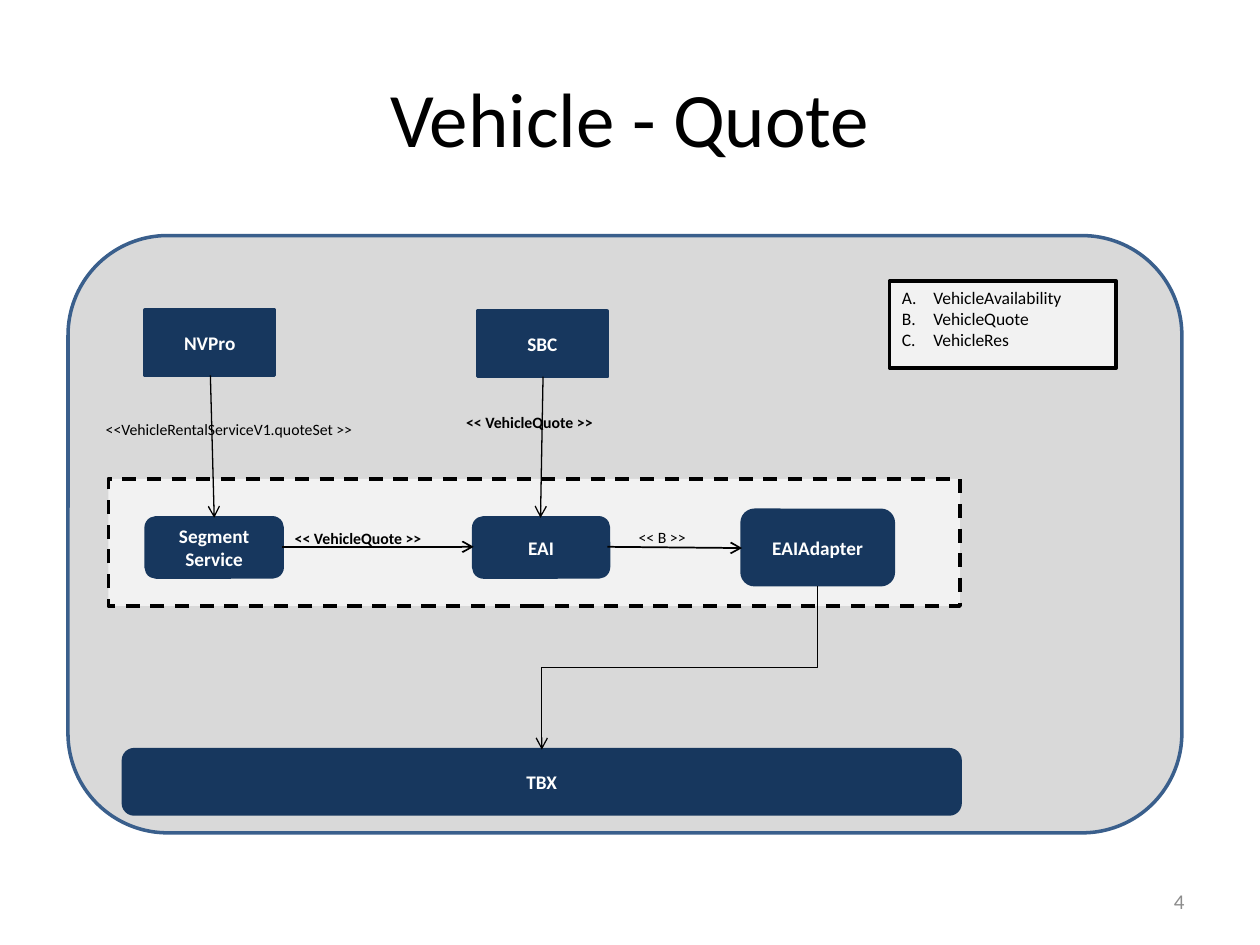
from lxml import etree
from pptx import Presentation
from pptx.dml.color import RGBColor
from pptx.enum.dml import MSO_LINE
from pptx.enum.shapes import MSO_CONNECTOR, MSO_SHAPE
from pptx.enum.text import MSO_ANCHOR, MSO_AUTO_SIZE, PP_ALIGN
from pptx.oxml.ns import qn
from pptx.util import Inches, Pt

NAVY = RGBColor(0x17, 0x37, 0x5E)
BLUE = RGBColor(0x3A, 0x5F, 0x8C)
GRAY = RGBColor(0xD9, 0xD9, 0xD9)
PALE = RGBColor(0xF2, 0xF2, 0xF2)
MUTED = RGBColor(0x8C, 0x8C, 0x8C)
BLACK = RGBColor(0, 0, 0)
WHITE = RGBColor(0xFF, 0xFF, 0xFF)
FONT = "Calibri"
RECT = MSO_SHAPE.RECTANGLE
ROUND = MSO_SHAPE.ROUNDED_RECTANGLE


def write(frame, lines, size, color, bold=False, align=PP_ALIGN.LEFT):
    frame.word_wrap = True
    frame.text = "\n".join(lines)
    for para in frame.paragraphs:
        para.alignment = align
        for span in para.runs:
            span.font.name = FONT
            span.font.size = Pt(size)
            span.font.bold = bold
            span.font.color.rgb = color


def add_panel(page, kind, place, fill, line):
    panel = page.shapes.add_shape(kind, *map(Inches, place))
    panel.shadow.inherit = False
    panel.fill.solid()
    panel.fill.fore_color.rgb = fill
    panel.line.color.rgb = line
    panel.line.width = Pt(2)
    return panel


def add_system(page, kind, name, place):
    box = add_panel(page, kind, place, NAVY, NAVY)
    write(box.text_frame, [name], 11, WHITE, True, PP_ALIGN.CENTER)
    box.text_frame.vertical_anchor = MSO_ANCHOR.MIDDLE


def add_label(page, text, place, bold=False):
    box = page.shapes.add_textbox(*map(Inches, place))
    write(box.text_frame, [text], 9, BLACK, bold)
    box.text_frame.auto_size = MSO_AUTO_SIZE.SHAPE_TO_FIT_TEXT


def add_arrow(page, start, end, width, kind=MSO_CONNECTOR.STRAIGHT):
    arrow = page.shapes.add_connector(kind, *map(Inches, start + end))
    arrow.line.color.rgb = BLACK
    arrow.line.width = Pt(width)
    tail = etree.SubElement(arrow.line._get_or_add_ln(), qn("a:tailEnd"))
    tail.set("type", "arrow")
    etree.SubElement(arrow._element.spPr, qn("a:effectLst"))
    return arrow


def add_falling_elbow(page, start, end, width):
    middle_x, middle_y = (start[0] + end[0]) / 2, (start[1] + end[1]) / 2
    half_drop, half_span = (end[1] - start[1]) / 2, (start[0] - end[0]) / 2
    arrow = add_arrow(page, (middle_x - half_drop, middle_y - half_span),
                      (middle_x + half_drop, middle_y + half_span),
                      width, MSO_CONNECTOR.ELBOW)
    arrow._element.spPr.find(qn("a:xfrm")).set("rot", "5400000")


def add_legend(page, names, place):
    legend = add_panel(page, RECT, place, PALE, BLACK)
    write(legend.text_frame, names, 10, BLACK)
    legend.text_frame.vertical_anchor = MSO_ANCHOR.TOP
    for para in legend.text_frame.paragraphs:
        properties = para._p.get_or_add_pPr()
        properties.set("marL", str(Inches(0.25)))
        properties.set("indent", str(-Inches(0.25)))
        bullet = etree.SubElement(properties, qn("a:buAutoNum"))
        bullet.set("type", "alphaUcPeriod")


def add_title(page, text):
    title = page.shapes.title
    title.left, title.top, title.width, title.height = map(Inches, (0.5, 0.3, 9, 1.25))
    write(title.text_frame, [text], 44, BLACK, align=PP_ALIGN.CENTER)
    title.text_frame.vertical_anchor = MSO_ANCHOR.MIDDLE


def add_page_number(page, number):
    box = page.shapes.add_textbox(*map(Inches, (7.17, 6.95, 2.33, 0.4)))
    write(box.text_frame, [number], 12, MUTED, align=PP_ALIGN.RIGHT)
    box.text_frame.vertical_anchor = MSO_ANCHOR.MIDDLE


def main():
    deck = Presentation()
    deck.slide_width, deck.slide_height = Inches(10), Inches(7.5)
    page = deck.slides.add_slide(deck.slide_layouts[5])
    add_panel(page, ROUND, (0.54, 1.87, 8.84, 4.74), GRAY, BLUE)
    add_title(page, "Vehicle - Quote")
    add_page_number(page, "4")

    zone = add_panel(page, RECT, (0.86, 3.8, 6.76, 1.01), PALE, BLACK)
    zone.line.dash_style = MSO_LINE.DASH
    for kind, name, place in (
        (RECT, "NVPro", (1.15, 2.46, 1.03, 0.52)),
        (RECT, "SBC", (3.79, 2.47, 1.03, 0.52)),
        (ROUND, "Segment Service", (1.16, 4.11, 1.08, 0.47)),
        (ROUND, "EAI", (3.76, 4.11, 1.07, 0.47)),
        (ROUND, "EAIAdapter", (5.89, 4.05, 1.2, 0.59)),
        (ROUND, "TBX", (0.98, 5.95, 6.64, 0.51)),
    ):
        add_system(page, kind, name, place)

    for start, end, width in (
        ((1.67, 2.98), (1.7, 4.11), 0.75),
        ((4.31, 2.99), (4.29, 4.11), 0.75),
        ((2.24, 4.34), (3.76, 4.34), 1),
        ((4.82, 4.34), (5.89, 4.35), 1),
    ):
        add_arrow(page, start, end, width)
    add_falling_elbow(page, (6.49, 4.65), (4.3, 5.95), 0.75)

    add_legend(page, ["VehicleAvailability", "VehicleQuote", "VehicleRes"],
               (7.06, 2.23, 1.8, 0.69))
    add_label(page, "<<VehicleRentalServiceV1.quoteSet >>", (0.74, 3.28, 2.51, 0.25))
    add_label(page, "<< B >>", (4.97, 4.14, 0.7, 0.25))
    for place in ((3.6, 3.23, 1.58, 0.25), (2.24, 4.15, 1.61, 0.25)):
        add_label(page, "<< VehicleQuote >>", place, True)
    deck.save("out.pptx")


main()
